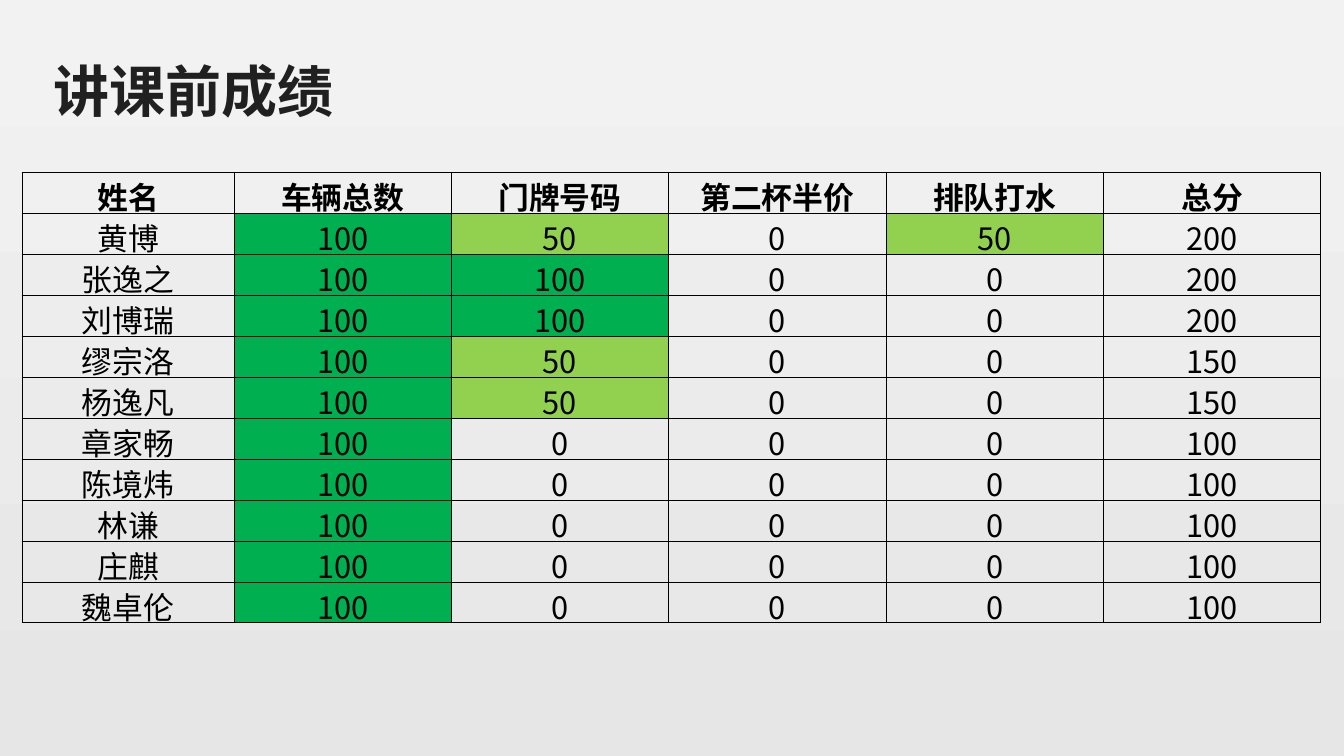
import dataclasses

import lxml.etree
import pptx
import pptx.dml.color
import pptx.enum.text
import pptx.oxml.ns
import pptx.util

Inches = pptx.util.Inches


@dataclasses.dataclass(frozen=True)
class Theme:
    font: str = "Noto Sans CJK SC"
    title_size: int = 40
    table_size: int = 22
    title_color: str = "202020"
    text_color: str = "000000"
    border_color: str = "000000"
    full_score: str = "00B050"
    half_score: str = "92D050"
    background: tuple = ("F2F2F2", "E7E6E6")
    inner_border: float = 0.5
    outer_border: float = 1


THEME = Theme()
TITLE = "讲课前成绩"
PROBLEMS = ["车辆总数", "门牌号码", "第二杯半价", "排队打水"]
SCORES = {
    "黄博": [100, 50, 0, 50],
    "张逸之": [100, 100, 0, 0],
    "刘博瑞": [100, 100, 0, 0],
    "缪宗洛": [100, 50, 0, 0],
    "杨逸凡": [100, 50, 0, 0],
    "章家畅": [100, 0, 0, 0],
    "陈境炜": [100, 0, 0, 0],
    "林谦": [100, 0, 0, 0],
    "庄麒": [100, 0, 0, 0],
    "魏卓伦": [100, 0, 0, 0],
}
SCORE_FILLS = {100: THEME.full_score, 50: THEME.half_score}


def rgb(color):
    return pptx.dml.color.RGBColor.from_string(color)


def add_element(parent, tag, **attributes):
    return lxml.etree.SubElement(parent, pptx.oxml.ns.qn(tag), **attributes)


def write_text(text_frame, text, size, color, bold, alignment):
    text_frame.text = text
    paragraph = text_frame.paragraphs[0]
    paragraph.alignment = alignment
    run = paragraph.runs[0]
    run.font.name = THEME.font
    run.font.size = pptx.util.Pt(size)
    run.font.bold = bold
    run.font.color.rgb = rgb(color)
    add_element(run.font._element, "a:ea", typeface=THEME.font)


def set_borders(cell, outer_sides):
    properties = cell._tc.get_or_add_tcPr()
    for side in "LRTB":
        width = THEME.outer_border if side in outer_sides else THEME.inner_border
        line = add_element(properties, f"a:ln{side}", w=str(pptx.util.Pt(width)))
        fill = add_element(line, "a:solidFill")
        add_element(fill, "a:srgbClr", val=THEME.border_color)


def paint_background(slide):
    fill = slide.background.fill
    fill.gradient()
    fill.gradient_angle = 270
    for stop, color in zip(fill.gradient_stops, THEME.background):
        stop.color.rgb = rgb(color)


def place_title(slide, left, top, width, height):
    title = slide.shapes.title
    title.left, title.top, title.width, title.height = left, top, width, height
    text_frame = title.text_frame
    write_text(text_frame, TITLE, THEME.title_size, THEME.title_color, True,
               pptx.enum.text.PP_ALIGN.LEFT)
    text_frame.word_wrap = False
    text_frame.auto_size = pptx.enum.text.MSO_AUTO_SIZE.SHAPE_TO_FIT_TEXT
    text_frame.vertical_anchor = pptx.enum.text.MSO_ANCHOR.TOP


def format_cell(cell, value, is_header, fill_color, outer_sides):
    cell.margin_left = cell.margin_right = cell.margin_top = Inches(0.02)
    cell.margin_bottom = 0
    cell.vertical_anchor = pptx.enum.text.MSO_ANCHOR.MIDDLE
    write_text(cell.text_frame, str(value), THEME.table_size, THEME.text_color,
               is_header, pptx.enum.text.PP_ALIGN.CENTER)
    set_borders(cell, outer_sides)
    if fill_color:
        cell.fill.solid()
        cell.fill.fore_color.rgb = rgb(fill_color)
    else:
        cell.fill.background()


def add_score_table(slide, left, top, width, height):
    rows = [["姓名", *PROBLEMS, "总分"]]
    rows += [[name, *scores, sum(scores)] for name, scores in SCORES.items()]
    last_row, last_column = len(rows) - 1, len(rows[0]) - 1
    table = slide.shapes.add_table(len(rows), len(rows[0]), left, top, width, height).table
    table.first_row = table.horz_banding = False

    name_width = Inches(2.1)
    table.columns[0].width = name_width
    for column in range(1, last_column + 1):
        table.columns[column].width = (width - name_width) // last_column

    for row, values in enumerate(rows):
        for column, value in enumerate(values):
            edges = {"L": column == 0, "R": column == last_column,
                     "T": row == 0, "B": row == last_row}
            outer_sides = [side for side, is_outer in edges.items() if is_outer]
            fill_color = SCORE_FILLS.get(value) if column < last_column else None
            format_cell(table.cell(row, column), value, row == 0, fill_color, outer_sides)


def build_score_slide(presentation):
    slide = presentation.slides.add_slide(presentation.slide_layouts[5])
    paint_background(slide)
    add_score_table(slide, Inches(0.22), Inches(1.71), Inches(12.88), Inches(4.47))
    place_title(slide, Inches(0.43), Inches(0.51), Inches(3.01), Inches(0.77))


presentation = pptx.Presentation()
presentation.slide_width = Inches(13.33)
presentation.slide_height = Inches(7.5)
build_score_slide(presentation)
presentation.save("out.pptx")
